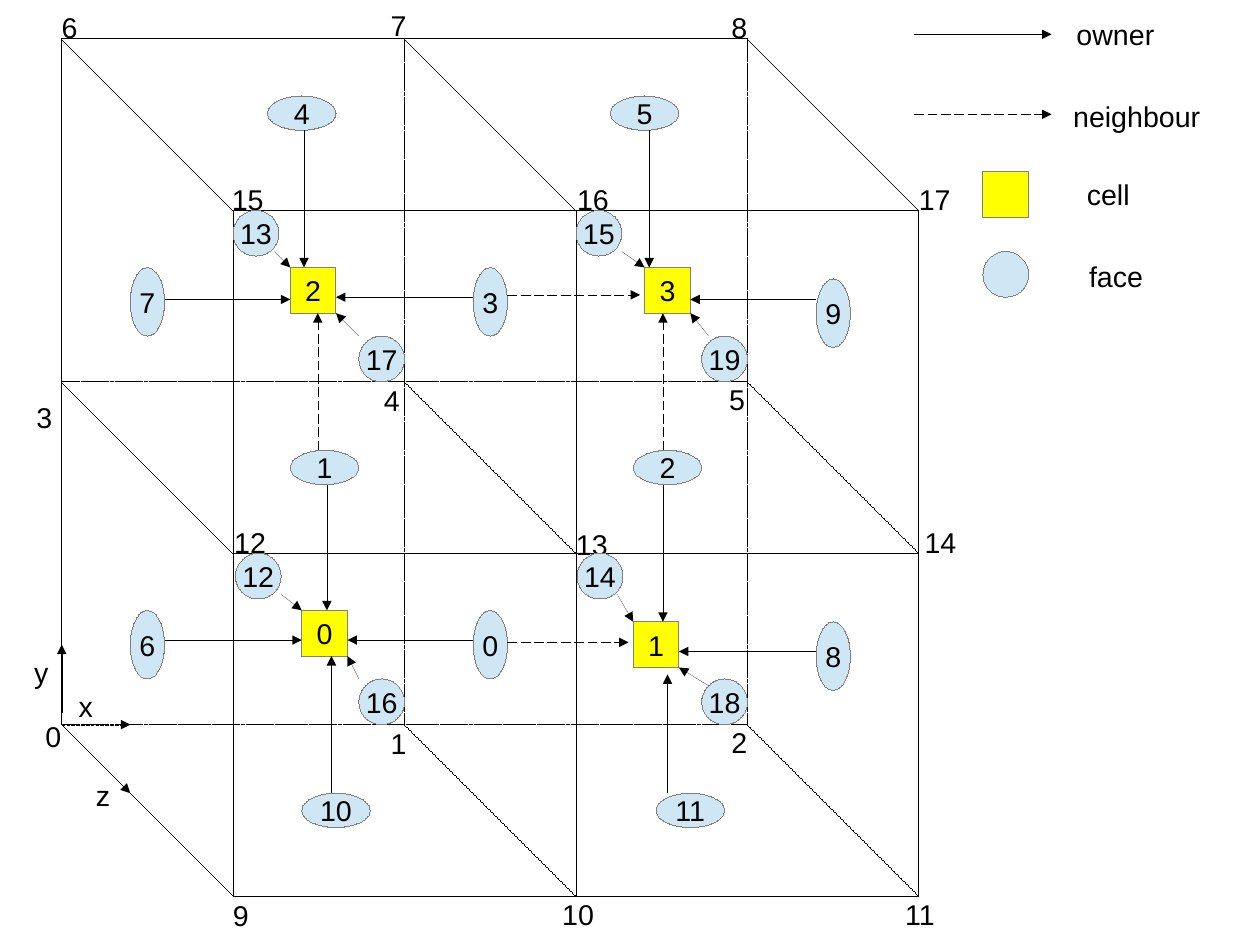
from dataclasses import dataclass
from itertools import product

from lxml import etree
from pptx import Presentation
from pptx.dml.color import RGBColor
from pptx.enum.dml import MSO_LINE
from pptx.enum.shapes import MSO_CONNECTOR, MSO_SHAPE
from pptx.enum.text import MSO_ANCHOR, MSO_AUTO_SIZE, PP_ALIGN
from pptx.oxml.ns import qn
from pptx.util import Cm, Pt

STRAIGHT = MSO_CONNECTOR.STRAIGHT
OVAL = MSO_SHAPE.OVAL
SQUARE = MSO_SHAPE.RECTANGLE
HIDDEN = MSO_LINE.SQUARE_DOT
NEIGHBOUR = MSO_LINE.LONG_DASH
MIDDLE = MSO_ANCHOR.MIDDLE
CENTER = PP_ALIGN.CENTER
GROW = MSO_AUTO_SIZE.SHAPE_TO_FIT_TEXT


@dataclass(frozen=True)
class Theme:
    ink: RGBColor = RGBColor(0x00, 0x00, 0x00)
    outline: RGBColor = RGBColor(0x80, 0x80, 0x80)
    face: RGBColor = RGBColor(0xCF, 0xE7, 0xF5)
    cell: RGBColor = RGBColor(0xFF, 0xFF, 0x00)
    font: str = "Arial"
    size: Pt = Pt(18)
    hairline: str = "0"


THEME = Theme()
MODULE = 2.54
LEFT, TOP, STEP, DEPTH = 0.54, 0.34, 3, 1.5
WIDE, TALL, ROUND = (0.6, 0.3), (0.3, 0.6), (0.4, 0.4)

VERTICES = [
    (0.3, 6.24), (3.32, 6.3), (6.3, 6.29),
    (0.22, 3.45), (3.26, 3.3), (6.28, 3.29),
    (0.44, 0.04), (3.32, 0.02), (6.3, 0.04),
    (1.94, 7.81), (4.82, 7.8), (7.82, 7.8),
    (1.95, 4.54), (4.94, 4.56), (7.99, 4.54),
    (1.93, 1.54), (4.95, 1.54), (7.94, 1.54),
]
AXES = [
    ("x", 0.59, 5.98, (0.54, 6.34, 1.14, 6.34), HIDDEN),
    ("y", 0.2, 5.68, (0.54, 6.24, 0.54, 5.64), None),
    ("z", 0.74, 6.76, (0.54, 6.34, 1.14, 6.94), None),
]
FACES = [
    (4.14, 5.34, TALL), (2.54, 3.94, WIDE), (5.54, 3.94, WIDE), (4.14, 2.34, TALL),
    (2.34, 0.84, WIDE), (5.34, 0.84, WIDE), (1.14, 5.34, TALL), (1.14, 2.34, TALL),
    (7.14, 5.44, TALL), (7.14, 2.44, TALL), (2.64, 6.94, WIDE), (5.74, 6.94, WIDE),
    (2.06, 4.84, ROUND), (2.04, 1.84, ROUND), (5.05, 4.84, ROUND), (5.04, 1.84, ROUND),
    (3.14, 5.94, ROUND), (3.14, 2.94, ROUND), (6.14, 5.94, ROUND), (6.14, 2.94, ROUND),
]
CELLS = [(2.64, 5.34), (5.54, 5.44), (2.54, 2.34), (5.64, 2.34)]
OWNER_ARROWS = [
    (4.14, 5.6, 3.04, 5.6), (2.86, 4.24, 2.86, 5.34), (5.8, 4.24, 5.8, 5.44),
    (4.14, 2.6, 2.94, 2.6), (2.66, 1.14, 2.66, 2.34), (5.68, 1.14, 5.68, 2.34),
    (1.44, 5.6, 2.64, 5.6), (1.44, 2.62, 2.54, 2.62), (7.14, 5.7, 5.94, 5.7),
    (7.14, 2.62, 6.04, 2.62), (2.9, 6.94, 2.9, 5.74), (5.84, 6.94, 5.84, 5.9),
    (2.46, 5.2, 2.64, 5.34), (2.4, 2.2, 2.54, 2.34), (5.4, 5.2, 5.54, 5.44),
    (5.44, 2.2, 5.64, 2.34), (3.14, 5.94, 3.04, 5.74), (3.14, 2.94, 2.94, 2.74),
    (6.2, 6, 5.94, 5.84), (6.2, 2.94, 6.04, 2.74),
]
NEIGHBOUR_ARROWS = [
    (4.44, 5.62, 5.5, 5.62), (2.78, 3.94, 2.78, 2.74),
    (4.44, 2.58, 5.6, 2.58), (5.8, 3.94, 5.8, 2.74),
]
LEGEND = [
    ("owner", 9.32, 0.1, 0.9), ("neighbour", 9.29, 0.82, 1.35),
    ("cell", 9.41, 1.5, 0.65), ("face", 9.43, 2.22, 0.7),
]


def lengths(*values):
    return [Cm(v * MODULE) for v in values]


def set_hairline(line, color):
    line.color.rgb = color
    ln = line._get_or_add_ln()
    ln.set("w", THEME.hairline)
    return ln


def add_line(slide, ends, dash=None, arrow=False):
    sp = slide.shapes.add_connector(STRAIGHT, *lengths(*ends))
    ln = set_hairline(sp.line, THEME.ink)
    if dash is not None:
        sp.line.dash_style = dash
    if arrow:
        etree.SubElement(ln, qn("a:tailEnd"), type="triangle")
    etree.SubElement(sp._element.spPr, qn("a:effectLst"))


def write(tf, text):
    tf.word_wrap = False
    p = tf.paragraphs[0]
    r = p.add_run()
    r.text = text
    r.font.name = THEME.font
    r.font.size = THEME.size
    r.font.color.rgb = THEME.ink
    return p


def add_label(slide, text, x, y, width=None):
    width = width or 0.2 + 0.14 * len(text)
    tf = slide.shapes.add_textbox(*lengths(x, y, width, 0.38)).text_frame
    tf.auto_size = GROW
    write(tf, text)


def add_node(slide, kind, fill, x, y, size, text=None):
    sp = slide.shapes.add_shape(kind, *lengths(x, y, *size))
    sp.shadow.inherit = False
    sp.fill.solid()
    sp.fill.fore_color.rgb = fill
    set_hairline(sp.line, THEME.outline)
    if text is not None:
        sp.text_frame.vertical_anchor = MIDDLE
        write(sp.text_frame, text).alignment = CENTER


def add_mesh(slide):
    span = 2 * STEP
    for offset, i in product((0, DEPTH), range(3)):
        left, top = LEFT + offset, TOP + offset
        x, y = left + i * STEP, top + i * STEP
        dash = HIDDEN if offset == 0 and i > 0 else None
        add_line(slide, (left, y, left + span, y), dash)
        add_line(slide, (x, top, x, top + span), dash)
    for i, j in product(range(3), repeat=2):
        x, y = LEFT + i * STEP, TOP + j * STEP
        dash = HIDDEN if i > 0 and j > 0 else None
        add_line(slide, (x, y, x + DEPTH, y + DEPTH), dash)


def add_legend(slide):
    add_line(slide, (8, 0.3, 9.2, 0.3), arrow=True)
    add_line(slide, (8, 1, 9.2, 1), NEIGHBOUR, arrow=True)
    add_node(slide, SQUARE, THEME.cell, 8.6, 1.5, ROUND)
    add_node(slide, OVAL, THEME.face, 8.6, 2.2, ROUND)
    for entry in LEGEND:
        add_label(slide, *entry)


def main():
    prs = Presentation()
    prs.slide_width, prs.slide_height = Cm(28), Cm(21)
    slide = prs.slides.add_slide(prs.slide_layouts.get_by_name("Blank"))
    add_mesh(slide)
    for name, x, y, ends, dash in AXES:
        add_line(slide, ends, dash, arrow=True)
        add_label(slide, name, x, y)
    for number, (x, y) in enumerate(VERTICES):
        add_label(slide, str(number), x, y)
    for number, (x, y, size) in enumerate(FACES):
        add_node(slide, OVAL, THEME.face, x, y, size, str(number))
    for number, (x, y) in enumerate(CELLS):
        add_node(slide, SQUARE, THEME.cell, x, y, ROUND, str(number))
    for ends in OWNER_ARROWS:
        add_line(slide, ends, arrow=True)
    for ends in NEIGHBOUR_ARROWS:
        add_line(slide, ends, NEIGHBOUR, arrow=True)
    add_legend(slide)
    prs.save("out.pptx")


if __name__ == "__main__":
    main()
